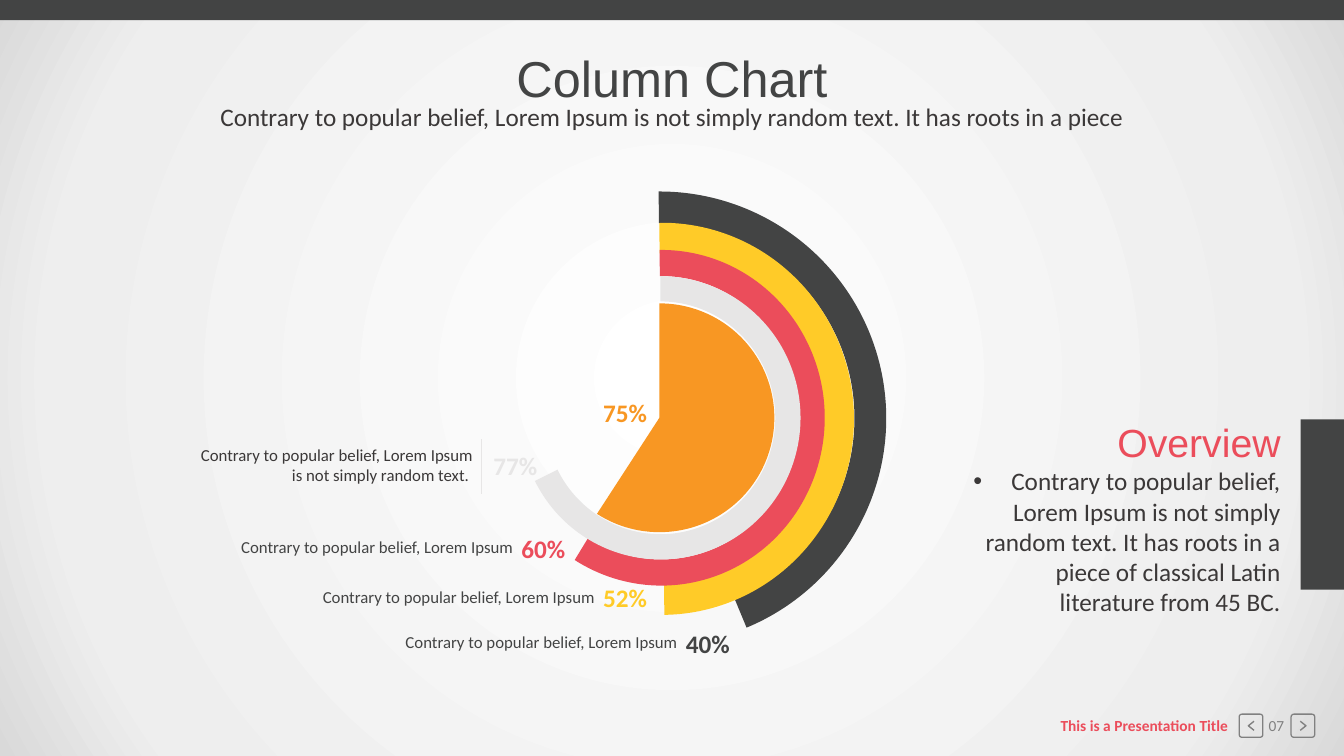
from pptx import Presentation
from pptx.dml.color import RGBColor
from pptx.enum.shapes import MSO_CONNECTOR, MSO_SHAPE
from pptx.enum.text import MSO_ANCHOR, MSO_AUTO_SIZE, PP_ALIGN
from pptx.oxml import parse_xml
from pptx.oxml.ns import nsdecls
from pptx.oxml.xmlchemy import OxmlElement
from pptx.util import Inches, Pt

LEFT, MID, RIGHT = PP_ALIGN.LEFT, PP_ALIGN.CENTER, PP_ALIGN.RIGHT
TOP, FIXED = MSO_ANCHOR.TOP, MSO_AUTO_SIZE.NONE
RECT, ROUND = MSO_SHAPE.RECTANGLE, MSO_SHAPE.ROUNDED_RECTANGLE
ARC, PIE = MSO_SHAPE.BLOCK_ARC, MSO_SHAPE.PIE
STRAIGHT = MSO_CONNECTOR.STRAIGHT

WIDE, HIGH = Inches(13.33), Inches(7.5)
COLS, ROWS = 133.3, 75
DARK, GOLD, RED, PALE = "434444", "FFCB28", "EB4D5B", "E7E6E6"
AMBER, INK, GREY = "F89723", "3B3838", "808080"
SANS, BODY = "Arial", "Calibri"
LOREM = "Contrary to popular belief, Lorem Ipsum"

ARCS = [
    ((42.9, 19, 45, 45), (161.9, 40.43, 0.07), DARK),
    ((46.6, 22.1, 38.1, 38.9), (161.54, 53.56, 0.08), GOLD),
    ((49.4, 24.8, 32.4, 33.3), (161.63, 72.81, 0.08), RED),
    ((51.6, 27.4, 27.8, 28.1), (161.99, 91.96, 0.09), PALE),
]
MARKS = [
    ("75%", 58.6, 38.9, AMBER),
    ("77%", 47.7, 44.2, PALE),
    ("60%", 50.5, 52.4, RED),
    ("52%", 58.6, 57.3, GOLD),
    ("40%", 66.8, 61.8, DARK),
]


def grid(x, y):
    """Turn a column and a row into slide lengths."""
    return round(x * WIDE / COLS), round(y * HIGH / ROWS)


def tint(code):
    """Return the colour for a hex string."""
    return RGBColor.from_string(code)


def backdrop(slide):
    """Lay a round gradient behind the slide."""
    stops = "".join(
        f'<a:gs pos="{pos}000"><a:srgbClr val="{code}"/></a:gs>'
        for pos, code in ((0, "FFFFFF"), (81, "EEEEEE"), (100, "D9D9D9")))
    slide.element.cSld.insert(0, parse_xml(
        f'<p:bg {nsdecls("p", "a")}><p:bgPr><a:gradFill rotWithShape="1">'
        f'<a:gsLst>{stops}</a:gsLst><a:path path="circle"><a:fillToRect '
        'l="50000" t="50000" r="50000" b="50000"/></a:path></a:gradFill>'
        '<a:effectLst/></p:bgPr></p:bg>'))


def write(shape, box, text, size, code, align=MID, font=BODY, bold=False,
          wrap=True):
    """Place a text holder and format its single paragraph."""
    shape.left, shape.top = grid(*box[:2])
    shape.width, shape.height = grid(*box[2:])
    frame = shape.text_frame
    frame.text = text
    frame.word_wrap, frame.auto_size = wrap, FIXED
    frame.vertical_anchor = TOP
    para = frame.paragraphs[0]
    para.alignment = align
    para.space_before = Pt(0)
    face = para.runs[0].font
    face.name, face.size, face.bold = font, Pt(size), bold
    face.color.rgb = tint(code)


def label(slide, box, *args, **opts):
    """Add a text box."""
    write(slide.shapes.add_textbox(0, 0, 0, 0), box, *args, **opts)


def solid(slide, kind, box, code, turns=()):
    """Add a filled preset shape without outline."""
    shape = slide.shapes.add_shape(kind, *grid(*box[:2]), *grid(*box[2:]))
    shape.shadow.inherit = False
    for spot, turn in enumerate(turns):
        shape.adjustments[spot] = turn
    shape.fill.solid()
    shape.fill.fore_color.rgb = tint(code)
    shape.line.fill.background()


def outline(shape, code, width):
    """Leave only the outline of a shape."""
    shape.shadow.inherit = False
    shape.fill.background()
    shape.line.color.rgb = tint(code)
    shape.line.width = Pt(width)


def rule(slide, x, top, end):
    """Draw a thin upright line."""
    line = slide.shapes.add_connector(
        STRAIGHT, *grid(x, top), *grid(x, end))
    line.line.color.rgb = tint(PALE)
    line.line.width = Pt(0.75)
    line._element.spPr.append(OxmlElement("a:effectLst"))


def button(slide, x, side):
    """Draw a page button whose arrow points to the given side."""
    frame = slide.shapes.add_shape(ROUND, *grid(x, 70.85), *grid(2.35, 2.3))
    frame.adjustments[0] = 0.12
    outline(frame, GREY, 0.9)
    mid, back = x + 1.2, 0.28 * side
    path = slide.shapes.build_freeform(*grid(mid - back, 71.55), scale=1)
    path.add_line_segments(
        [grid(mid + back, 72), grid(mid - back, 72.45)], close=False)
    outline(path.convert_to_shape(), GREY, 1)


def main():
    """Build the slide and save it."""
    deck = Presentation()
    deck.slide_width, deck.slide_height = WIDE, HIGH
    slide = deck.slides.add_slide(deck.slide_layouts[1])
    backdrop(slide)

    for box, turns, code in ARCS:
        solid(slide, ARC, box, code, turns)
    solid(slide, PIE, (54, 30.1, 22.8, 22.7), AMBER, (162, 73.8))

    title, body = slide.placeholders
    write(title, (0, 4.2, COLS, 7.1), "Column Chart", 36, DARK, font=SANS)
    label(slide, (18.7, 9.6, 95.9, 4), LOREM
          + " is not simply random text. It has roots in a piece", 18, INK)
    solid(slide, RECT, (0, 0, COLS, 2), DARK)

    props = body.text_frame.paragraphs[0]._p.get_or_add_pPr()
    props.set("marL", "0")
    props.set("indent", "0")
    props.append(OxmlElement("a:buNone"))
    write(body, (91.1, 45.7, 36.9, 13.1), LOREM
          + " is not simply random text. It has roots in a piece of classical"
          " Latin literature from 45 BC.", 18, INK, RIGHT)
    label(slide, (108.6, 41, 19.4, 5.7), "Overview", 28, RED, RIGHT, SANS)
    solid(slide, RECT, (129, 41.6, 4.3, 16.9), DARK)

    for text, x, y, code in MARKS:
        label(slide, (x, y, 6.8, 4), text, 18, code, bold=True)
    for _, x, y, _ in MARKS[2:]:
        label(slide, (x - 28.8, y + 0.4, 30.2, 3), LOREM, 12, DARK, RIGHT)
    label(slide, (17.7, 43.6, 30.2, 5),
          LOREM + " is not simply random text. ", 12, INK, RIGHT)
    rule(slide, 47.8, 43.6, 49)

    label(slide, (104.2, 70.6, 18.8, 2.9), "This is a Presentation Title",
          11, RED, LEFT, bold=True, wrap=False)
    button(slide, 122.9, -1)
    button(slide, 128.05, 1)
    label(slide, (124.4, 70.6, 4.4, 2.9), "07", 11, GREY)
    deck.save("out.pptx")


if __name__ == "__main__":
    main()
